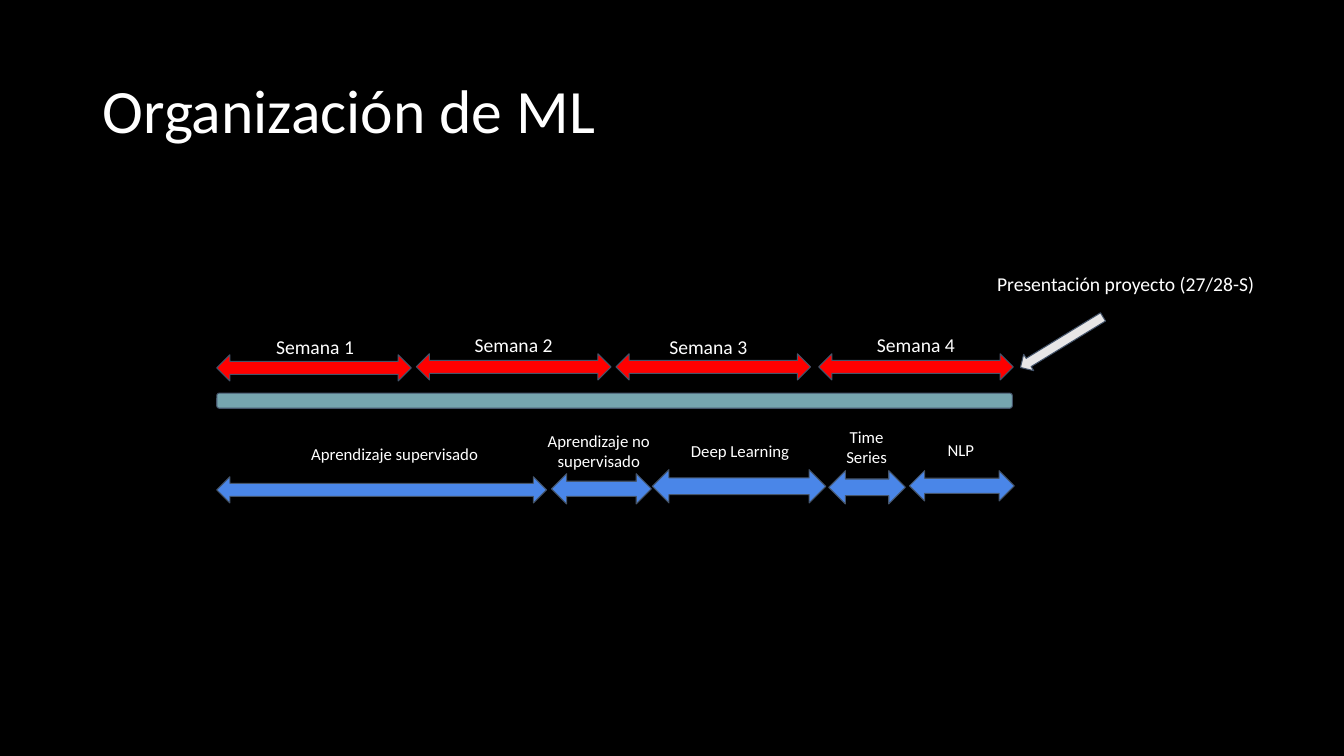
from pptx import Presentation
from pptx.dml.color import RGBColor
from pptx.enum.shapes import MSO_SHAPE
from pptx.enum.text import MSO_ANCHOR, PP_ALIGN
from pptx.util import Pt

PX = 9144
COLORS = {
    "background": "000000",
    "text": "FFFFFF",
    "outline": "44546A",
    "timeline": "76A5AF",
    "week": "FF0000",
    "topic": "4A86E8",
    "pointer": "E7E6E6",
}
WEEKS = [
    ("Semana 1", (215, 352), (254, 322)),
    ("Semana 2", (413, 351), (451, 320)),
    ("Semana 3", (611, 351), (644, 322)),
    ("Semana 4", (812, 351), (850, 320)),
]
TOPICS = [
    (["Aprendizaje supervisado"], (215, 473, 327, 26), (253, 430, 277, 39)),
    (["Aprendizaje no supervisado"], (547, 470, 99, 30), (526, 417, 136, 66)),
    (["Deep Learning"], (647, 466, 172, 33), (668, 427, 132, 39)),
    (["Time", "Series"], (822, 467, 76, 33), (814, 413, 91, 66)),
    (["NLP"], (902, 467, 104, 30), (903, 426, 100, 39)),
]


class Deck:
    font = "Calibri"

    def __init__(self, width, height):
        self.prs = Presentation()
        self.prs.slide_width = width * PX
        self.prs.slide_height = height * PX
        self.s = self.prs.slides.add_slide(self.prs.slide_layouts[6])
        fill = self.s.background.fill
        fill.solid()
        fill.fore_color.rgb = self.color("background")

    def color(self, name):
        return RGBColor.from_string(COLORS[name])

    def text(self, lines, box, size, align=PP_ALIGN.CENTER,
             anchor=MSO_ANCHOR.TOP, inset=10, spacing=1.0):
        tf = self.s.shapes.add_textbox(*(n * PX for n in box)).text_frame
        tf.word_wrap = True
        tf.vertical_anchor = anchor
        tf.margin_left = tf.margin_right = 10 * PX
        tf.margin_top = tf.margin_bottom = inset * PX
        tf.text = "\n".join(lines)
        for p in tf.paragraphs:
            p.alignment = align
            p.line_spacing = spacing
            p.font.name = self.font
            p.font.size = Pt(size)
            p.font.color.rgb = self.color("text")

    def shape(self, kind, box, color, rotation=0):
        sp = self.s.shapes.add_shape(kind, *(n * PX for n in box))
        sp.shadow.inherit = False
        sp.rotation = rotation
        sp.fill.solid()
        sp.fill.fore_color.rgb = self.color(color)
        sp.line.color.rgb = self.color("outline")
        sp.line.width = Pt(0.75)

    def save(self):
        self.prs.save("out.pptx")


def main():
    deck = Deck(1333, 750)
    deck.text(["Organización de ML"], (92, 40, 1150, 145), 44,
              PP_ALIGN.LEFT, MSO_ANCHOR.MIDDLE, inset=5, spacing=0.9)
    deck.shape(MSO_SHAPE.ROUNDED_RECTANGLE, (215, 390, 789, 15), "timeline")
    for label, arrow, label_at in WEEKS:
        deck.shape(MSO_SHAPE.LEFT_RIGHT_ARROW, (*arrow, 193, 26), "week")
        deck.text([label], (*label_at, 117, 39), 14)
    for lines, arrow, label_box in TOPICS:
        deck.shape(MSO_SHAPE.LEFT_RIGHT_ARROW, arrow, "topic")
        deck.text(lines, label_box, 12)
    deck.shape(MSO_SHAPE.RIGHT_ARROW, (1005, 330, 96, 19), "pointer", 148.5)
    deck.text(["Presentación proyecto (27/28-S)"], (967, 260, 299, 44), 14)
    deck.save()


if __name__ == "__main__":
    main()
